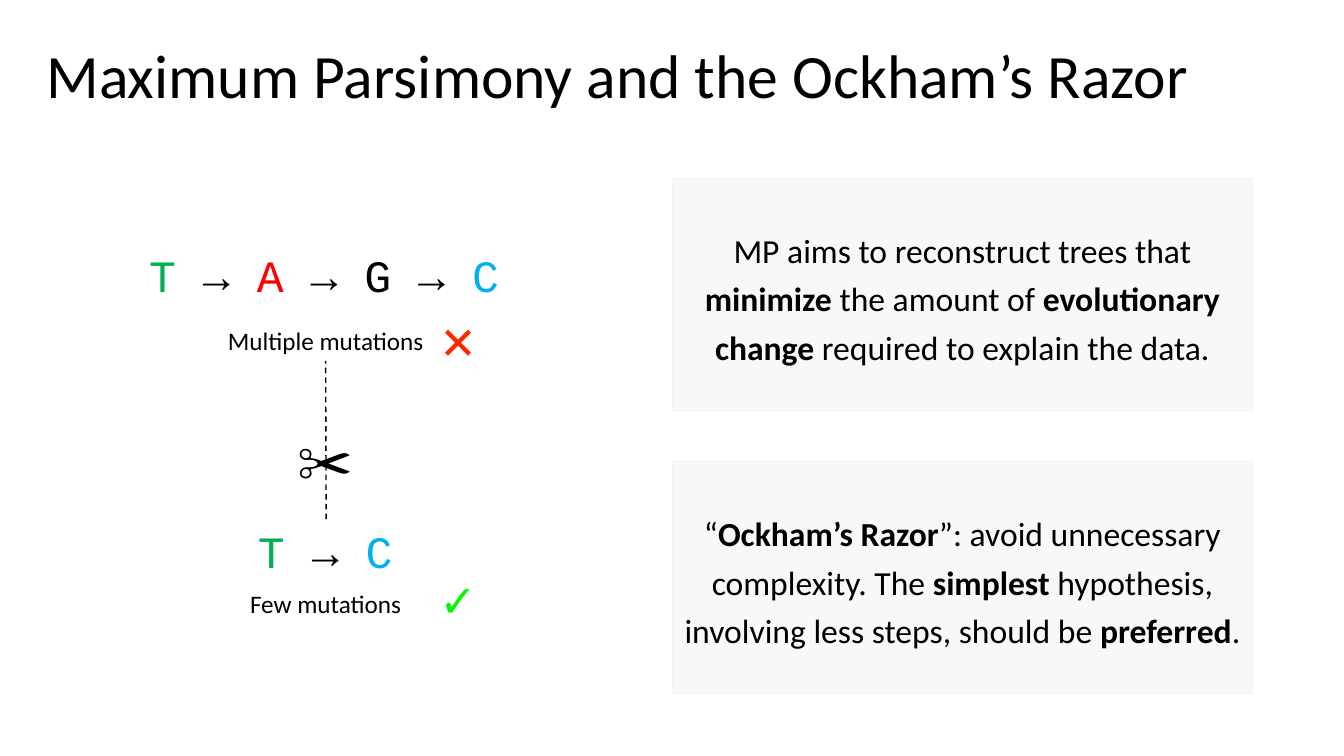
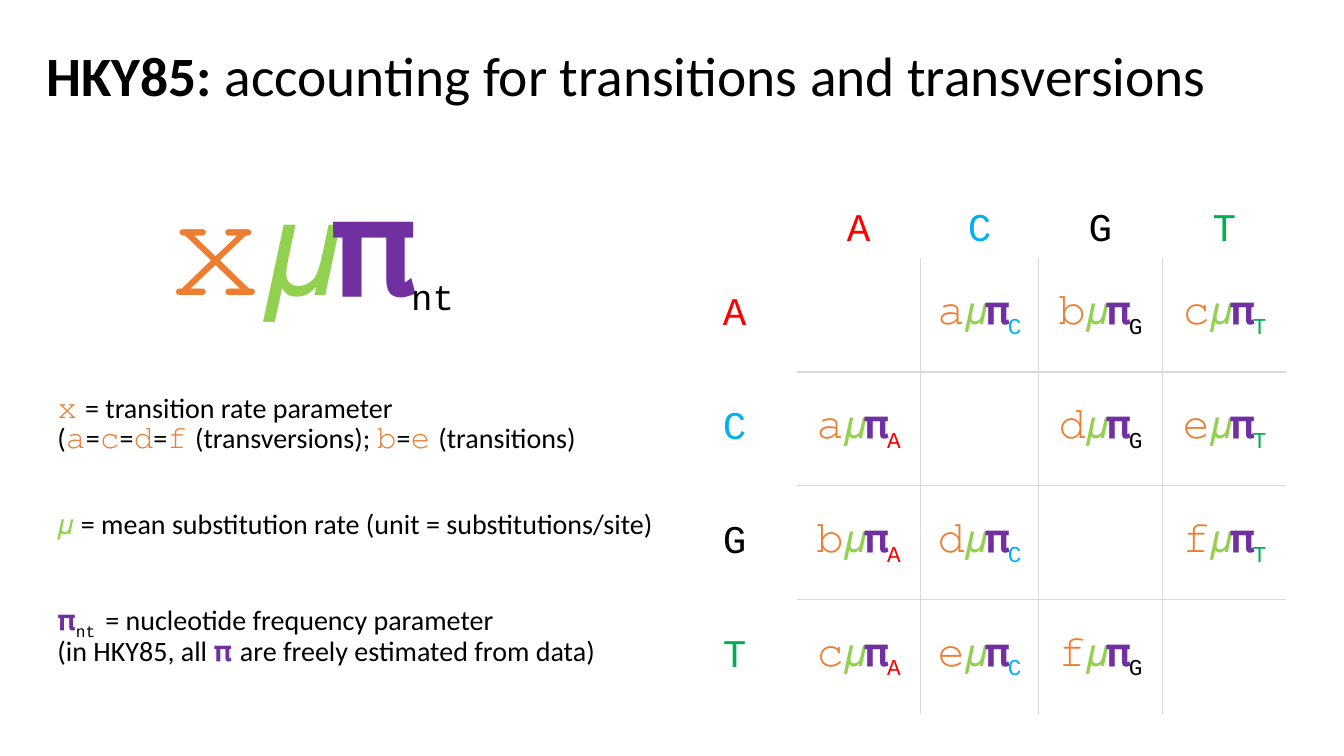
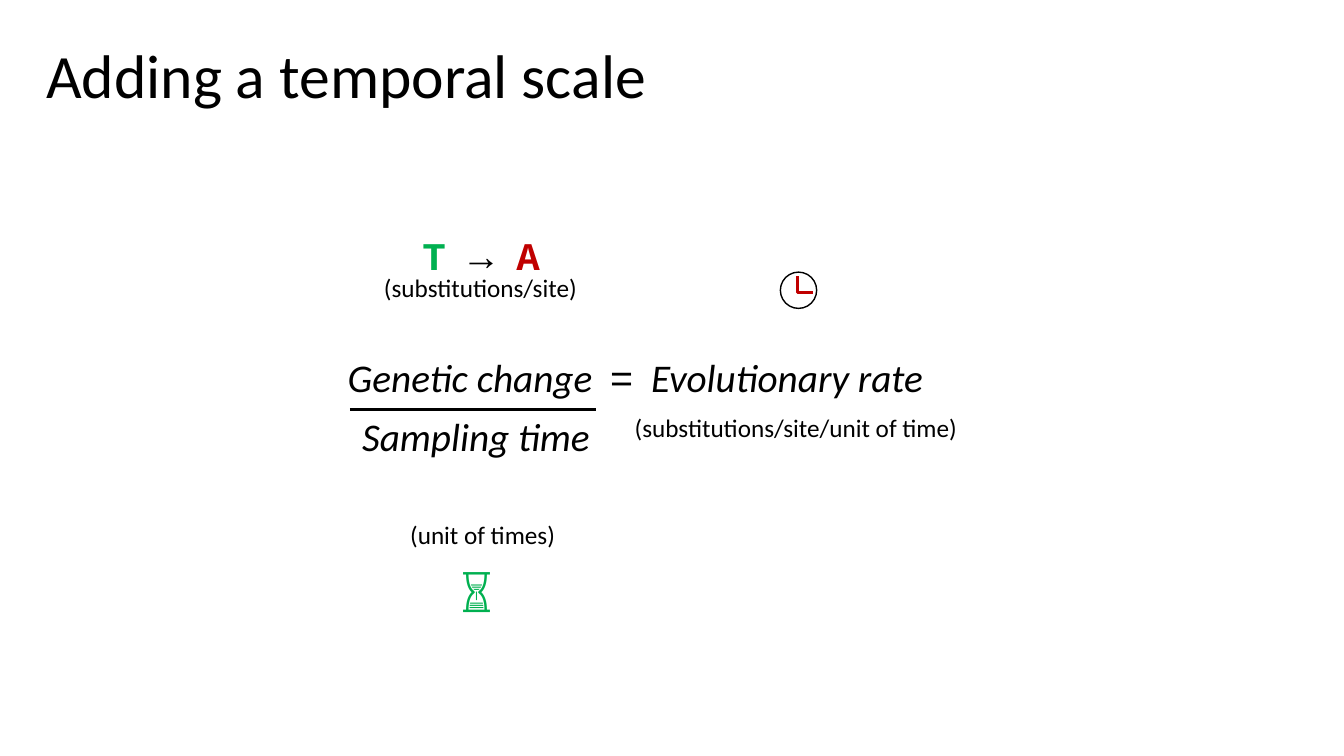
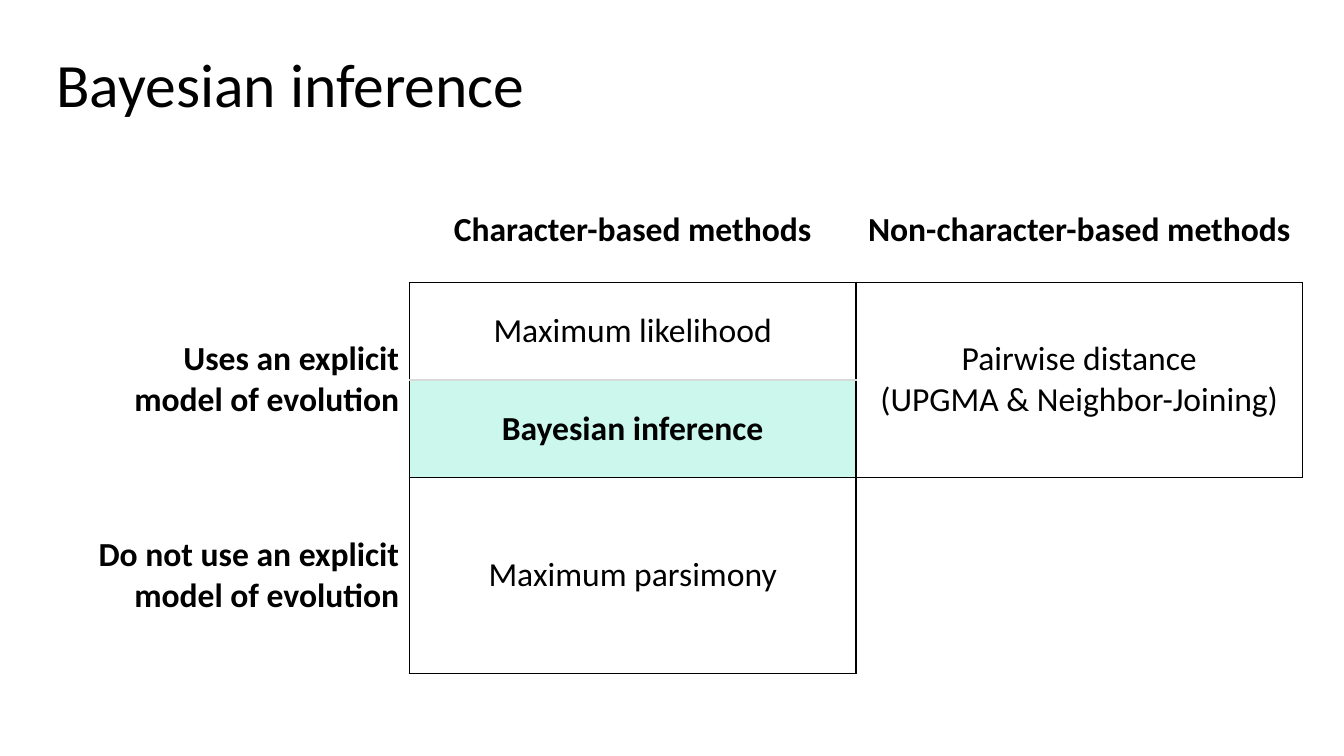
from itertools import combinations

from lxml import etree
from pptx import Presentation
from pptx.dml.color import RGBColor
from pptx.enum.dml import MSO_LINE
from pptx.enum.shapes import MSO_CONNECTOR, MSO_SHAPE
from pptx.enum.text import MSO_ANCHOR, MSO_AUTO_SIZE, PP_ALIGN
from pptx.oxml.ns import qn
from pptx.util import Inches, Pt

LEFT, CENTER, RIGHT = PP_ALIGN.LEFT, PP_ALIGN.CENTER, PP_ALIGN.RIGHT
TOP, MIDDLE, BOTTOM = MSO_ANCHOR.TOP, MSO_ANCHOR.MIDDLE, MSO_ANCHOR.BOTTOM
RECT, ELLIPSE = MSO_SHAPE.RECTANGLE, MSO_SHAPE.OVAL
STRAIGHT, DASH = MSO_CONNECTOR.STRAIGHT, MSO_LINE.DASH
GROW, FIXED = MSO_AUTO_SIZE.SHAPE_TO_FIT_TEXT, MSO_AUTO_SIZE.NONE

SANS, MONO, SYMBOL = "Calibri", "Courier New", "Arial"
NO_TABLE_STYLE = "{2D5ABB26-0587-4C30-8999-92F81FD0307C}"
TITLE_ONLY = 5
COLORS = {
    "black": "000000", "white": "FFFFFF", "panel": "F2F2F2", "grid": "D9D9D9",
    "orange": "ED7D31", "lime": "92D050", "purple": "7030A0",
    "green": "00B050", "red": "FF0000", "blue": "00B0F0", "dark_red": "C00000",
    "tick": "00FA00", "cross": "FF2600", "mint": "CBF7ED",
}
BASES = {"A": "red", "C": "blue", "G": "black", "T": "green"}


def rgb(name):
    return RGBColor.from_string(COLORS[name])


def write(tf, paragraphs, align=LEFT, spacing=1.0, **base):
    """Fill a frame; a paragraph is a string or a list of strings and (text, format) runs."""
    if isinstance(paragraphs, str):
        paragraphs = [paragraphs]
    for i, runs in enumerate(paragraphs):
        p = tf.paragraphs[0] if i == 0 else tf.add_paragraph()
        p.alignment, p.line_spacing = align, spacing
        for run in [runs] if isinstance(runs, str) else runs:
            text, fmt = (run, {}) if isinstance(run, str) else run
            add_run(p, text, **{**base, **fmt})


def add_run(p, text, size=18, font=SANS, color="black", bold=False, italic=False, sub=False):
    r = p.add_run()
    r.text = text
    r.font.name, r.font.size = font, Pt(size)
    r.font.bold, r.font.italic = bold, italic
    r.font.color.rgb = rgb(color)
    if sub:
        r._r.get_or_add_rPr().set("baseline", "-25000")


def bold(text):
    return text, {"bold": True}


def symbol(text, color="orange"):
    return text, {"font": SYMBOL, "color": color}


def mutation_chain(letters, **colors):
    """Runs for bases joined by arrows; colours may be overridden by base."""
    palette = {**BASES, **colors}
    runs = []
    for i, letter in enumerate(letters):
        last = i == len(letters) - 1
        runs.append((letter if last else letter + " ", {"color": palette[letter]}))
        if not last:
            runs.append("→ ")
    return [runs]


def rate_term(rate, sub, color="black", sub_size=28):
    return [symbol(rate), symbol("𝜇", "lime"), symbol("𝛑", "purple"),
            (sub, {"font": MONO, "color": color, "size": sub_size, "sub": True})]


def new_slide(prs, title, at=(0.36, 0.4, 12.65, 0.76), anchor=MIDDLE, size=44):
    s = prs.slides.add_slide(prs.slide_layouts[TITLE_ONLY])
    sp = s.shapes.title
    sp.left, sp.top, sp.width, sp.height = map(Inches, at)
    tf = sp.text_frame
    tf.word_wrap, tf.auto_size, tf.vertical_anchor = True, FIXED, anchor
    write(tf, title, spacing=0.9, size=size)
    return s


def add_text(s, at, paragraphs, wrap=True, anchor=TOP, inset=0.1, **fmt):
    sp = s.shapes.add_textbox(*map(Inches, at))
    tf = sp.text_frame
    tf.word_wrap, tf.auto_size, tf.vertical_anchor = wrap, GROW, anchor
    tf.margin_left = tf.margin_right = Inches(inset)
    write(tf, paragraphs, **fmt)
    return sp


def add_panel(s, at, paragraphs):
    sp = s.shapes.add_shape(RECT, *map(Inches, at))
    sp.shadow.inherit = False
    sp.fill.solid()
    sp.fill.fore_color.rgb = sp.line.color.rgb = rgb("panel")
    sp.line.width = Pt(0.75)
    fill_color = sp._element.spPr.find(qn("a:solidFill"))[0]
    etree.SubElement(fill_color, qn("a:alpha")).set("val", "50000")
    tf = sp.text_frame
    tf.word_wrap, tf.vertical_anchor = True, MIDDLE
    tf.margin_left = tf.margin_right = tf.margin_top = tf.margin_bottom = Inches(0.08)
    write(tf, paragraphs, align=CENTER, spacing=1.2, size=24)


def add_line(s, start, end, width):
    line = s.shapes.add_connector(STRAIGHT, *map(Inches, start + end))
    line.line.color.rgb = rgb("black")
    line.line.width = Pt(width)
    etree.SubElement(line._element.spPr, qn("a:effectLst"))
    return line


def add_clock(s):
    shapes = s.shapes.add_group_shape().shapes
    face = shapes.add_shape(ELLIPSE, *map(Inches, (7.74, 2.7, 0.36, 0.36)))
    face.fill.solid()
    face.fill.fore_color.rgb = rgb("white")
    builder = shapes.build_freeform(Inches(7.91), Inches(2.74))
    builder.add_line_segments([(Inches(7.91), Inches(2.9)), (Inches(8.06), Inches(2.9))], close=False)
    hands = builder.convert_to_shape()
    hands.fill.background()
    for sp, color, width in ((face, "black", 1), (hands, "dark_red", 2.5)):
        sp.shadow.inherit = False
        sp.line.color.rgb = rgb(color)
        sp.line.width = Pt(width)


def add_table(s, left, top, widths, heights):
    size = Inches(sum(widths)), Inches(sum(heights))
    frame = s.shapes.add_table(len(heights), len(widths), Inches(left), Inches(top), *size)
    table = frame.table
    table.first_row = table.horz_banding = False
    table._tbl.tblPr.find(qn("a:tableStyleId")).text = NO_TABLE_STYLE
    for col, width in zip(table.columns, widths):
        col.width = Inches(width)
    for row, height in zip(table.rows, heights):
        row.height = Inches(height)
    return table


def format_cell(cell, borders, fill=None):
    """Draw borders, given as a dict from side (L, R, T, B) to colour, then fill."""
    tcPr = cell._tc.get_or_add_tcPr()
    for side in "LRTB":
        ln = etree.SubElement(tcPr, qn(f"a:ln{side}"), w=str(Pt(1)))
        if side in borders:
            solid = etree.SubElement(ln, qn("a:solidFill"))
            etree.SubElement(solid, qn("a:srgbClr"), val=COLORS[borders[side]])
        else:
            etree.SubElement(ln, qn("a:noFill"))
    if fill:
        cell.fill.solid()
        cell.fill.fore_color.rgb = rgb(fill)
    else:
        cell.fill.background()


def write_cell(cell, paragraphs, anchor=MIDDLE, align=CENTER, **fmt):
    cell.vertical_anchor = anchor
    write(cell.text_frame, paragraphs, align=align, **fmt)


def parsimony_slide(prs):
    s = new_slide(prs, "Maximum Parsimony and the Ockham’s Razor")
    panels = [
        ["MP aims to reconstruct trees that ", bold("minimize"), " the amount of ",
         bold("evolutionary change "), "required to explain the data."],
        ["“", bold("Ockham’s Razor"), "”: avoid unnecessary complexity. The ", bold("simplest"),
         " hypothesis, involving less steps, should be ", bold("preferred"), "."],
    ]
    for i, runs in enumerate(panels):
        add_panel(s, (6.67, 1.77 + 2.81 * i, 5.75, 2.3), [runs])

    chain = {"wrap": False, "size": 32, "font": MONO}
    caption = {"anchor": MIDDLE, "align": CENTER}
    add_text(s, (1.38, 2.41, 3.71, 0.64), mutation_chain("TAGC"), **chain)
    multiple = add_text(s, (2.05, 3.18, 2.36, 0.4), "Multiple mutations", **caption)
    short_chain = add_text(s, (2.46, 5.15, 1.55, 0.64), mutation_chain("TC"), **chain)
    add_text(s, (2.05, 5.79, 2.36, 0.4), "Few mutations", **caption)

    cut = add_line(s, (3.23, 5.15), (3.23, 3.58), 1)
    cut.line.dash_style = DASH
    cut.begin_connect(short_chain, 0)
    cut.end_connect(multiple, 2)
    add_text(s, (2.85, 4.19, 0.75, 0.77), "✂", size=40, font=SYMBOL)
    for top, mark, color in ((5.63, "✓", "tick"), (3.07, "✕", "cross")):
        add_text(s, (4.17, top, 0.75, 0.64), mark, align=CENTER, size=32,
                 font=SYMBOL, color=color, bold=True)


def hky85_slide(prs):
    s = new_slide(prs, [[bold("HKY85: "), "accounting for transitions and transversions"]], size=39.6)
    legend = [
        (3.86, 5.42, 0.71, [
            [symbol("𝚡 "), "= transition rate parameter"],
            ["(", symbol("𝚊"), "=", symbol("𝚌"), "=", symbol("𝚍"), "=", symbol("𝚏 "),
             "(transversions); ", symbol("𝚋"), "=", symbol("𝚎 "), "(transitions)"]]),
        (5.01, 6.08, 0.41, [
            [symbol("𝜇 ", "lime"), "= mean substitution rate (unit = substitutions/site)"]]),
        (5.93, 5.42, 0.71, [
            [symbol("𝛑", "purple"), ("nt ", {"font": MONO, "sub": True}),
             "= nucleotide frequency parameter"],
            ["(in HKY85, all ", symbol("𝛑 ", "purple"), "are freely estimated from data)"]]),
    ]
    for top, width, height, paragraphs in legend:
        add_text(s, (0.53, top, width, height), paragraphs, inset=0.04, spacing=0.9, size=20)

    table = add_table(s, 6.67, 1.43, [1.23, 1.23, 1.17, 1.23, 1.23], [1.13] * 5)
    rates = dict(zip(combinations("ACGT", 2), "𝚊𝚋𝚌𝚍𝚎𝚏"))
    letters = " ACGT"
    for i, row in enumerate(letters):
        for j, col in enumerate(letters):
            cell = table.cell(i, j)
            inner = {"L": j > 1, "R": j < 4, "T": i > 1, "B": i < 4}
            format_cell(cell, {side: "grid" for side in inner if inner[side] and i and j})
            if i == j:
                continue
            if i and j:
                rate = rates[tuple(sorted((row, col)))]
                write_cell(cell, [rate_term(rate, col, BASES[col])], size=28)
            else:
                letter = row if i else col
                write_cell(cell, letter, anchor=MIDDLE if i else BOTTOM,
                           size=28, font=MONO, color=BASES[letter])

    add_text(s, (1.19, 1.73, 3.8, 1.56), [rate_term("𝚡", "nt", sub_size=44)],
             inset=0.04, align=CENTER, spacing=0.9, size=96)


def temporal_slide(prs):
    s = new_slide(prs, "Adding a temporal scale")
    term = {"align": CENTER, "size": 28, "italic": True}
    add_text(s, (3.22, 3.46, 6.25, 0.57),
             [["Genetic change  ", ("=", {"font": MONO, "italic": False}), "  Evolutionary rate "]], **term)
    add_text(s, (3.22, 4.04, 3, 0.57), "Sampling time", **term)
    add_line(s, (3.47, 4.06), (5.91, 4.06), 2.25)
    units = [
        (3.71, 2.65, 2.14, "(substitutions/site)"),
        (3.97, 5.1, 1.66, "(unit of times)"),
        (6.14, 4.04, 3.56, " (substitutions/site/unit of time)"),
    ]
    for left, top, width, text in units:
        add_text(s, (left, top, width, 0.4), text, wrap=False)
    add_text(s, (4.09, 2.25, 1.38, 0.57), mutation_chain("TA", A="dark_red"),
             wrap=False, size=28, font=MONO, bold=True)
    add_text(s, (4.46, 5.51, 0.65, 0.64), "⏳", wrap=False, size=32,
             font=MONO, color="green", bold=True)
    add_clock(s)


def bayesian_slide(prs):
    s = new_slide(prs, "Bayesian inference", at=(0.46, 0.49, 11.95, 0.81), anchor=TOP)
    table = add_table(s, 0.46, 1.77, [3.6, 4.43, 4.43], [1.03, 0.97, 0.97, 1.94])
    borders = {(1, 0): "R", (2, 0): "R", (3, 0): "R", (1, 1): "LRTB", (2, 1): "LRTB",
               (1, 2): "LRTB", (2, 2): "LRB", (3, 1): "LRTB", (3, 2): "LT"}
    grey_sides = {(1, 1): "B", (2, 1): "T"}
    for i in range(4):
        for j in range(3):
            sides = {side: "black" for side in borders.get((i, j), "")}
            sides.update({side: "grid" for side in grey_sides.get((i, j), "")})
            format_cell(table.cell(i, j), sides, "mint" if (i, j) == (2, 1) else None)
    for j in (0, 2):
        table.cell(1, j).merge(table.cell(2, j))

    headings = {
        (0, 1): "Character-based methods",
        (0, 2): "Non-character-based methods",
        (1, 0): ["Uses an explicit", "model of evolution"],
        (2, 1): "Bayesian inference",
        (3, 0): ["Do not use an explicit", "model of evolution"],
    }
    methods = {
        (1, 1): "Maximum likelihood",
        (1, 2): ["Pairwise distance", "(UPGMA & Neighbor-Joining)"],
        (3, 1): "Maximum parsimony",
    }
    for texts, is_bold in ((headings, True), (methods, False)):
        for (i, j), text in texts.items():
            write_cell(table.cell(i, j), text, align=CENTER if j else RIGHT, size=24, bold=is_bold)


def main():
    prs = Presentation()
    prs.slide_width, prs.slide_height = Inches(13.33), Inches(7.5)
    parsimony_slide(prs)
    hky85_slide(prs)
    temporal_slide(prs)
    bayesian_slide(prs)
    prs.save("out.pptx")


if __name__ == "__main__":
    main()
